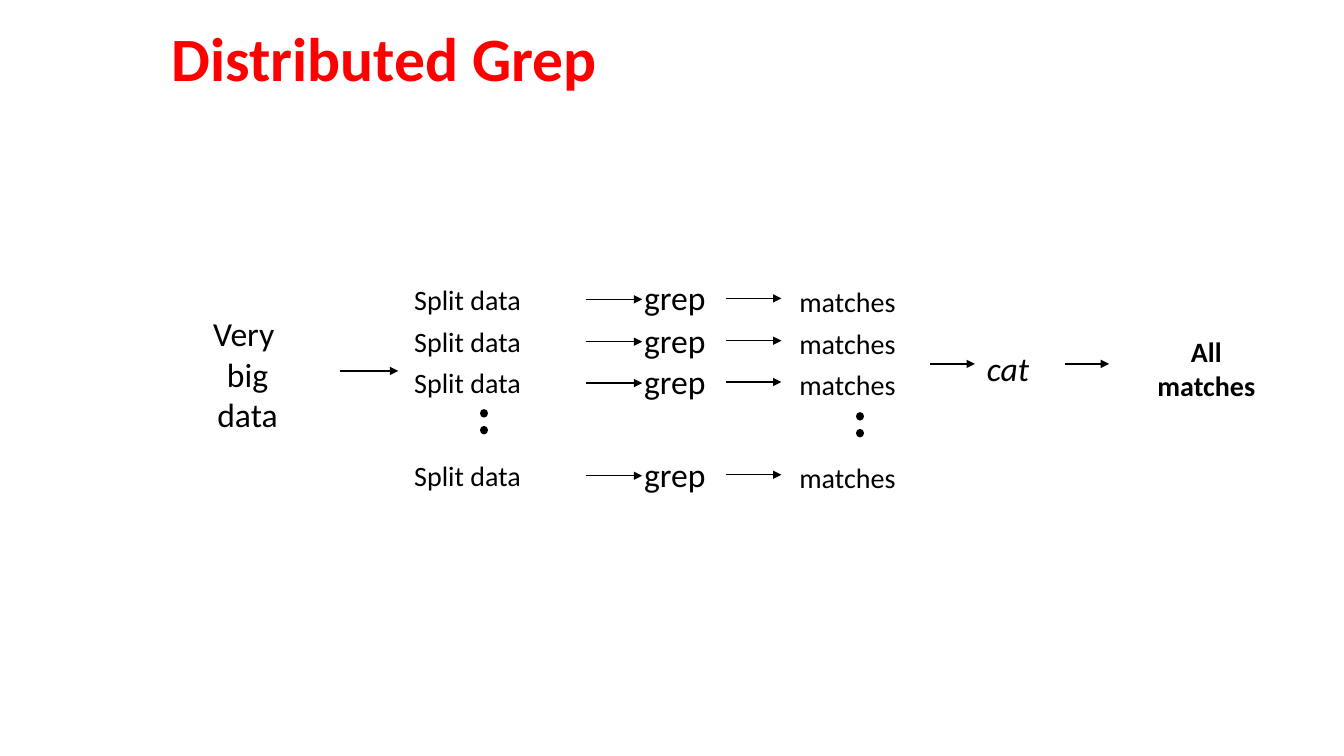
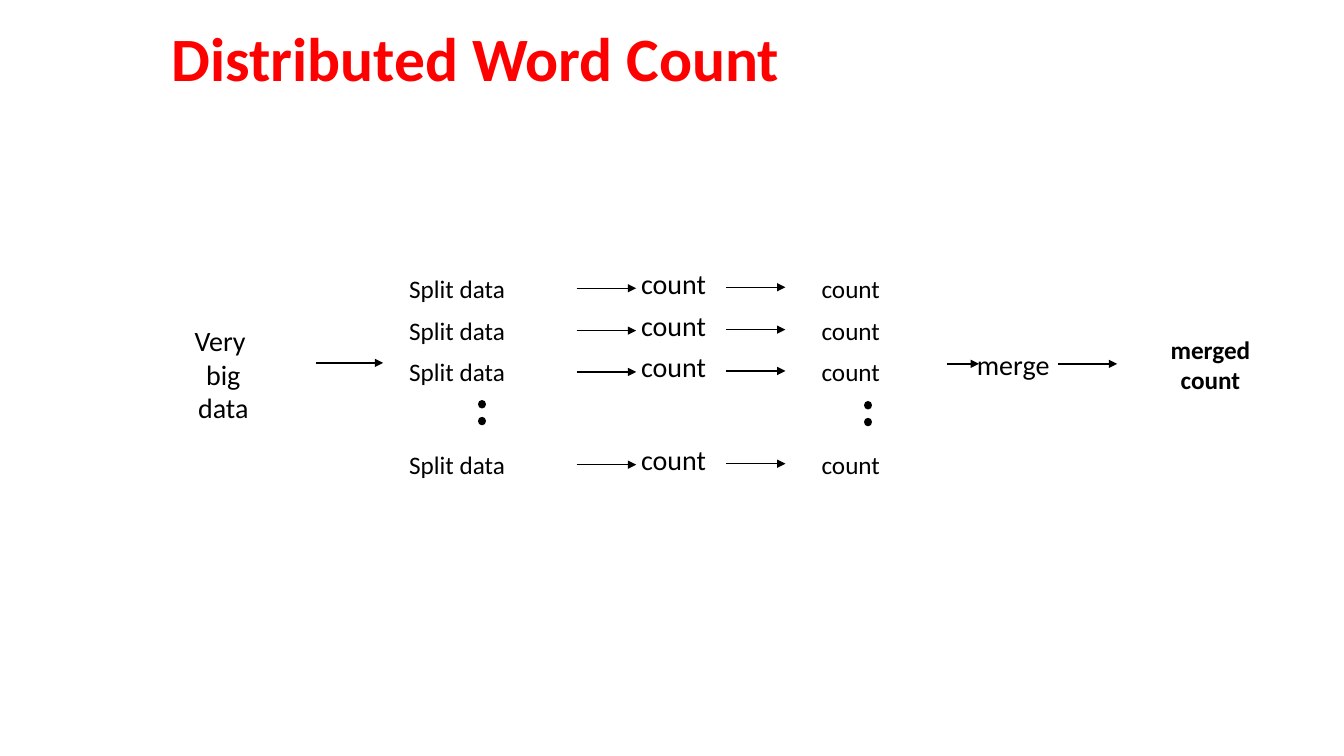
from lxml.etree import SubElement
from pptx import Presentation
from pptx.dml.color import RGBColor
from pptx.enum.dml import MSO_LINE
from pptx.enum.shapes import MSO_CONNECTOR
from pptx.enum.text import MSO_ANCHOR, MSO_AUTO_SIZE, PP_ALIGN
from pptx.oxml.ns import qn
from pptx.util import Pt

PX = 9144  # EMU per px, 100 px to the inch
FONT = "Calibri"
RED = "FF0000"
BLACK = "000000"
TITLE_ONLY = 5
ROW_OFFSETS = (0, 42, 83, 175)
DOTS_LENGTH = 25

# Each column is (text, left, top of first row, width, height, size).
# Each arrow is (left, right, y); row arrows repeat down the rows.
FLOWS = [
    {
        "title": "Distributed Grep",
        "source": (183, 306, 125, 130, 24),
        "columns": [
            ("Split data", 401, 275, 125, 43, 20),
            ("grep", 629, 270, 81, 50, 24),
            ("matches", 783, 277, 115, 43, 20),
        ],
        "row_arrows": [(581, 637, 297), (720, 775, 296)],
        "dots": [(480, 410), (853, 413)],
        "arrows": [(337, 395, 368), (922, 967, 361), (1056, 1100, 361)],
        "combine": ("cat", 969, 340, 62, 50, 24),
        "combine_italic": True,
        "result": ("All\nmatches", 1138, 327, 117, 76, 20),
    },
    {
        "title": "Distributed Word Count",
        "source": (183, 316, 77, 110, 20),
        "columns": [
            ("Split data", 396, 266, 115, 40, 18),
            ("count", 626, 259, 84, 43, 20),
            ("count", 805, 266, 77, 40, 18),
        ],
        "row_arrows": [(572, 631, 286), (720, 779, 285)],
        "dots": [(478, 401), (861, 402)],
        "arrows": [(313, 380, 360), (939, 971, 361), (1049, 1108, 361)],
        "combine": ("merge", 959, 340, 92, 43, 20),
        "combine_italic": False,
        "result": ("merged\ncount", 1151, 327, 99, 70, 18),
    },
]


def write(page, text, left, top, width, height, size, *, box=None, color=BLACK,
          bold=False, italic=False, align=PP_ALIGN.LEFT, anchor=MSO_ANCHOR.TOP,
          spacing=None, wrap=False):
    """Fill the given box, or a new text box, with one paragraph per line."""
    if box is None:
        box = page.shapes.add_textbox(0, 0, 0, 0)
    box.left, box.top = left * PX, top * PX
    box.width, box.height = width * PX, height * PX
    frame = box.text_frame
    frame.text = text
    frame.word_wrap = wrap
    frame.auto_size = MSO_AUTO_SIZE.NONE
    frame.vertical_anchor = anchor
    for para in frame.paragraphs:
        para.alignment = align
        para.line_spacing = spacing
        for span in para.runs:
            span.font.name = FONT
            span.font.size = Pt(size)
            span.font.bold = bold
            span.font.italic = italic
            span.font.color.rgb = RGBColor.from_string(color)


def draw_line(page, x1, y1, x2, y2, *, dotted=False):
    """Draw a thin arrow, or a thick row of round dots."""
    connector = page.shapes.add_connector(
        MSO_CONNECTOR.STRAIGHT, x1 * PX, y1 * PX, x2 * PX, y2 * PX)
    connector.line.color.rgb = RGBColor.from_string(BLACK)
    connector.line.width = Pt(6 if dotted else 1)
    properties = connector.element.spPr
    outline = properties.find(qn("a:ln"))
    if dotted:
        connector.line.dash_style = MSO_LINE.ROUND_DOT
        outline.set("cap", "rnd")
    else:
        SubElement(outline, qn("a:tailEnd"), type="triangle")
    SubElement(properties, qn("a:effectLst"))


deck = Presentation()
deck.slide_width = 1333 * PX
deck.slide_height = 750 * PX

for flow in FLOWS:
    page = deck.slides.add_slide(deck.slide_layouts[TITLE_ONLY])
    write(page, flow["title"], 160, 11, 990, 100, 44, box=page.shapes.title,
          color=RED, bold=True, anchor=MSO_ANCHOR.MIDDLE, spacing=0.9, wrap=True)
    write(page, "Very \nbig\ndata", *flow["source"], align=PP_ALIGN.CENTER)

    for offset in ROW_OFFSETS:
        for text, left, top, width, height, size in flow["columns"]:
            write(page, text, left, top + offset, width, height, size)
        for left, right, y in flow["row_arrows"]:
            draw_line(page, left, y + offset, right, y + offset)

    for x, top in flow["dots"]:
        draw_line(page, x, top, x, top + DOTS_LENGTH, dotted=True)
    for left, right, y in flow["arrows"]:
        draw_line(page, left, y, right, y)

    write(page, *flow["combine"], italic=flow["combine_italic"])
    write(page, *flow["result"], bold=True, align=PP_ALIGN.CENTER)

deck.save("out.pptx")
